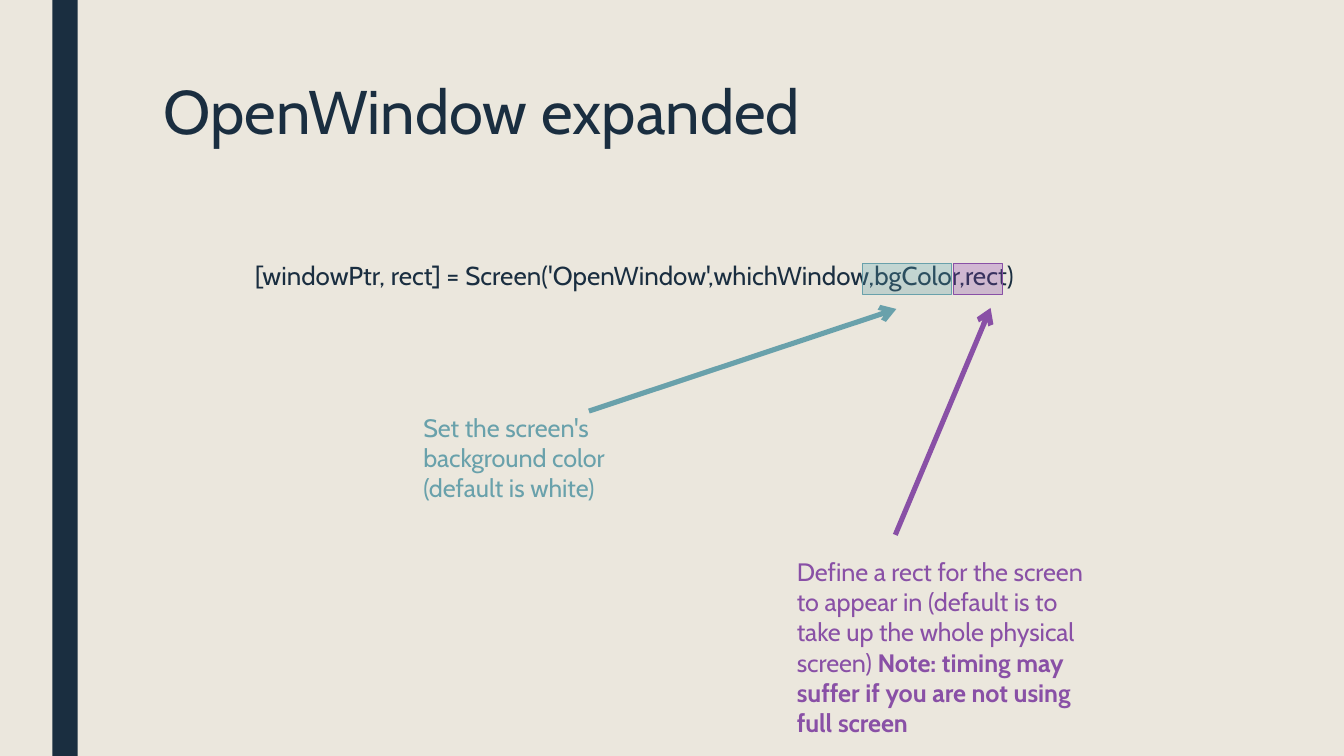
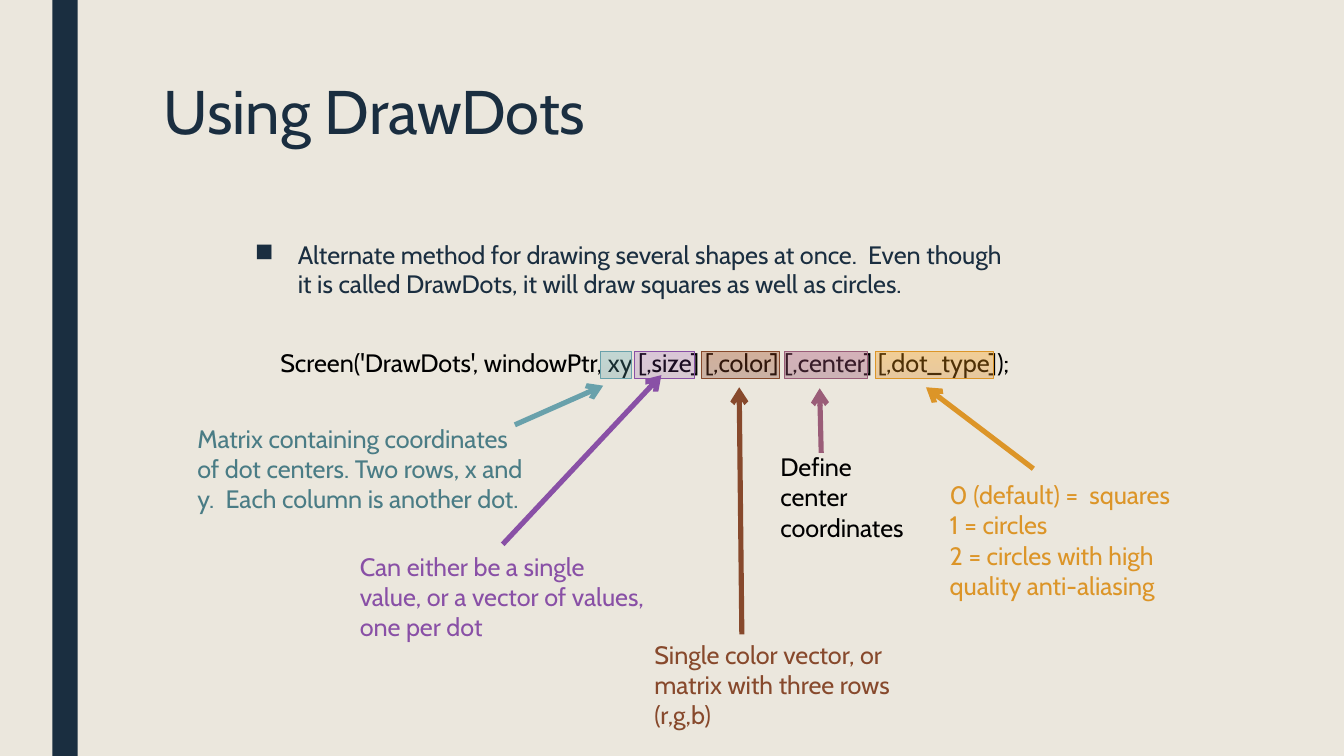
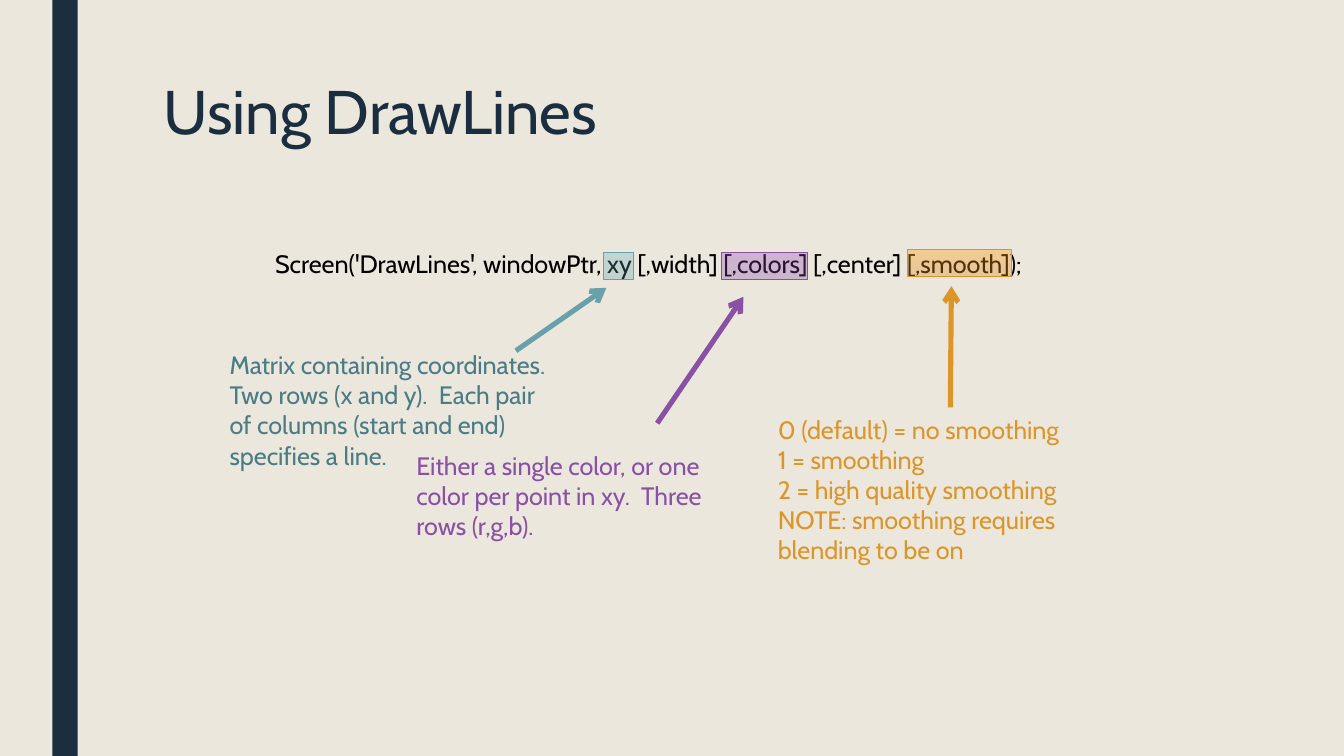
from lxml import etree
from pptx import Presentation
from pptx.dml.color import RGBColor
from pptx.enum.shapes import MSO_CONNECTOR as Connector, MSO_SHAPE as Shape
from pptx.enum.text import MSO_ANCHOR as Anchor, MSO_AUTO_SIZE as AutoSize, PP_ALIGN as Align
from pptx.oxml.ns import qn
from pptx.util import Cm, Pt

FONT = "Cabin"
COLOURS = {
    "paper": "EBE7DD", "navy": "1A2E40", "black": "000000", "dark teal": "4A7C85",
    "teal": "69A1AB", "teal low": "5A98A3", "teal high": "58ACBB",
    "purple": "8950A6", "purple low": "8146A3", "purple high": "903BBC",
    "brown": "87492C", "brown low": "8A4A35", "brown high": "9E4115",
    "plum": "9A5D78", "plum low": "95536F", "plum high": "A94E76",
    "orange": "DC9528", "orange low": "DD8923", "orange high": "FF9C05",
}
RGB = {name: RGBColor.from_string(value) for name, value in COLOURS.items()}

# Statement: left, top, width, height, size, colour, line spacing, bulleted, text
# Callout: accent, opacity %, highlight (left, top, width, height), arrow (from x, y, to x, y),
#          note (left, top, width, lines), note colour, note paragraphs (** starts bold)
SLIDES = [
    {
        "title": "OpenWindow expanded",
        "statements": [
            (4.57, 4.83, 15.27, 1.19, 13.9, "navy", 0.94, False,
             "[windowPtr, rect] = Screen('OpenWindow',whichWindow,bgColor,rect)"),
        ],
        "callouts": [
            ("teal", 28, (16.31, 4.98, 1.68, 0.58), (11.13, 7.77, 16.94, 5.84),
             (7.75, 7.67, 5.36, 3), "teal",
             ["Set the screen's background color (default is white)"]),
            ("purple", 27, (18.03, 4.98, 0.91, 0.58), (16.92, 10.11, 18.72, 5.82),
             (14.81, 10.39, 6.22, 6), "purple",
             ["Define a rect for the screen to appear in (default is to take up the whole "
              "physical screen) **Note: timing may suffer if you are not using full screen"]),
        ],
    },
    {
        "title": "Using DrawDots",
        "statements": [
            (4.57, 4.45, 14.73, 2.62, 13.5, "navy", 0.94, True,
             "Alternate method for drawing several shapes at once.  Even though "
             "it is called DrawDots, it will draw squares as well as circles."),
            (5.05, 6.45, 15.72, 0.84, 13.5, "black", 1.0, False,
             "Screen('DrawDots', windowPtr, xy [,size] [,color] [,center] [,dot_type]);"),
        ],
        "callouts": [
            ("teal", 27, (11.35, 6.65, 0.58, 0.51), (9.73, 8.03, 11.4, 7.29),
             (3.48, 7.87, 6.65, 3), "dark teal",
             ["Matrix containing coordinates of dot centers. Two rows, x and y.  "
              "Each column is another dot."]),
            ("purple", 18, (11.99, 6.65, 1.14, 0.51), (9.5, 10.29, 12.5, 7.09),
             (6.55, 10.29, 5.92, 3), "purple",
             ["Can either be a single value, or a vector of values, one per dot"]),
            ("brown", 32, (13.26, 6.65, 1.47, 0.51), (14.02, 11.99, 13.97, 7.32),
             (12.12, 11.96, 5.92, 3), "brown",
             ["Single color vector, or matrix with three rows (r,g,b)"]),
            ("orange", 33, (16.54, 6.65, 2.24, 0.51), (19.53, 8.86, 17.5, 7.32),
             (17.7, 8.94, 4.72, 4), "orange",
             ["0 (default) =  squares", "1 = circles",
              "2 = circles with high quality anti-aliasing"]),
            ("plum", 34, (14.83, 6.65, 1.57, 0.51), (15.52, 8.56, 15.49, 7.34),
             (14.5, 8.41, 2.95, 3), "black", ["Define center coordinates"]),
        ],
    },
    {
        "title": "Using DrawLines",
        "statements": [
            (4.95, 4.57, 15.62, 0.84, 13.5, "black", 1.0, False,
             "Screen('DrawLines', windowPtr, xy [,width] [,colors] [,center] [,smooth]);"),
        ],
        "callouts": [
            ("teal", 27, (11.4, 4.78, 0.58, 0.51), (9.75, 6.63, 11.46, 5.44),
             (4.09, 6.48, 6.65, 4), "dark teal",
             ["Matrix containing coordinates. Two rows (x and y).  Each pair of columns "
              "(start and end) specifies a line."]),
            ("purple", 29, (13.64, 4.78, 1.63, 0.51), (12.42, 8, 14.05, 5.61),
             (7.62, 8.38, 6.65, 3), "purple",
             ["Either a single color, or one color per point in xy.  Three rows (r,g,b)."]),
            ("orange", 34, (17.15, 4.72, 1.96, 0.51), (17.96, 7.7, 17.98, 5.41),
             (14.45, 7.7, 6.65, 5), "orange",
             ["0 (default) = no smoothing", "1 = smoothing", "2 = high quality smoothing",
              "NOTE: smoothing requires blending to be on"]),
        ],
    },
]


def add_text(slide, place, paragraphs, size, colour, spacing=1.0, bulleted=False):
    """Add a wrapped text box; ** in a paragraph switches bold on or off."""
    frame = slide.shapes.add_textbox(*map(Cm, place)).text_frame
    frame.word_wrap = True
    frame.auto_size = AutoSize.NONE if spacing != 1 else AutoSize.SHAPE_TO_FIT_TEXT
    for number, text in enumerate(paragraphs):
        para = frame.add_paragraph() if number else frame.paragraphs[0]
        para.line_spacing = spacing
        if bulleted:
            properties = para._p.get_or_add_pPr()
            properties.set("marL", str(Cm(0.81)))
            properties.set("indent", str(-Cm(0.81)))
            etree.SubElement(properties, qn("a:buChar")).set("char", "■")
        for index, part in enumerate(text.split("**")):
            span = para.add_run()
            span.text = part
            span.font.name, span.font.size = FONT, Pt(size)
            span.font.bold = index % 2 == 1
            span.font.color.rgb = RGB[colour]


deck = Presentation()
deck.slide_width, deck.slide_height = Cm(25.4), Cm(14.29)
layout = deck.slide_layouts.get_by_name("Title Only")
paper = deck.slide_master.background.fill
paper.solid()
paper.fore_color.rgb = RGB["paper"]

for content in SLIDES:
    page = deck.slides.add_slide(layout)

    if len(deck.slides) == 1:
        band = page.shapes.add_shape(Shape.RECTANGLE, Cm(0.99), 0, Cm(0.48), deck.slide_height)
        band.shadow.inherit = False
        band.fill.solid()
        band.fill.fore_color.rgb = RGB["navy"]
        band.line.fill.background()
        layout.shapes.element.insert(2, band.element)  # shared by every slide

    title = page.shapes.title
    title.left, title.top, title.width, title.height = map(Cm, (2.84, 1.42, 20.02, 3.1))
    title.text_frame.text = content["title"]
    title.text_frame.vertical_anchor = Anchor.TOP
    title.text_frame.auto_size = AutoSize.NONE
    heading = title.text_frame.paragraphs[0]
    heading.alignment, heading.line_spacing = Align.LEFT, 0.89
    heading_font = heading.runs[0].font
    heading_font.name, heading_font.size = FONT, Pt(33)
    heading_font.color.rgb = RGB["navy"]

    for *place, size, colour, spacing, bulleted, text in content["statements"]:
        add_text(page, place, [text], size, colour, spacing, bulleted)

    for accent, opacity, marked, ends, note, note_colour, paragraphs in content["callouts"]:
        highlight = page.shapes.add_shape(Shape.RECTANGLE, *map(Cm, marked))
        highlight.shadow.inherit = False
        highlight.fill.gradient()
        highlight.fill.gradient_angle = 90
        for stop, shade in zip(highlight.fill.gradient_stops, ("low", "high")):
            stop.color.rgb = RGB[f"{accent} {shade}"]
        for tint in highlight.element.spPr.iter(qn("a:srgbClr")):
            etree.SubElement(tint, qn("a:alpha")).set("val", str(opacity * 1000))
        highlight.line.color.rgb = RGB[accent]
        highlight.line.width = Pt(0.5)

        arrow = page.shapes.add_connector(Connector.STRAIGHT, *map(Cm, ends))
        arrow.line.color.rgb = RGB[accent]
        arrow.line.width = Pt(2.75)
        etree.SubElement(arrow.line._get_or_add_ln(), qn("a:tailEnd")).set("type", "arrow")
        etree.SubElement(arrow.element.spPr, qn("a:effectLst"))

        left, top, width, lines = note
        add_text(page, (left, top, width, 0.25 + 0.58 * lines), paragraphs, 13.5, note_colour)

deck.save("out.pptx")
